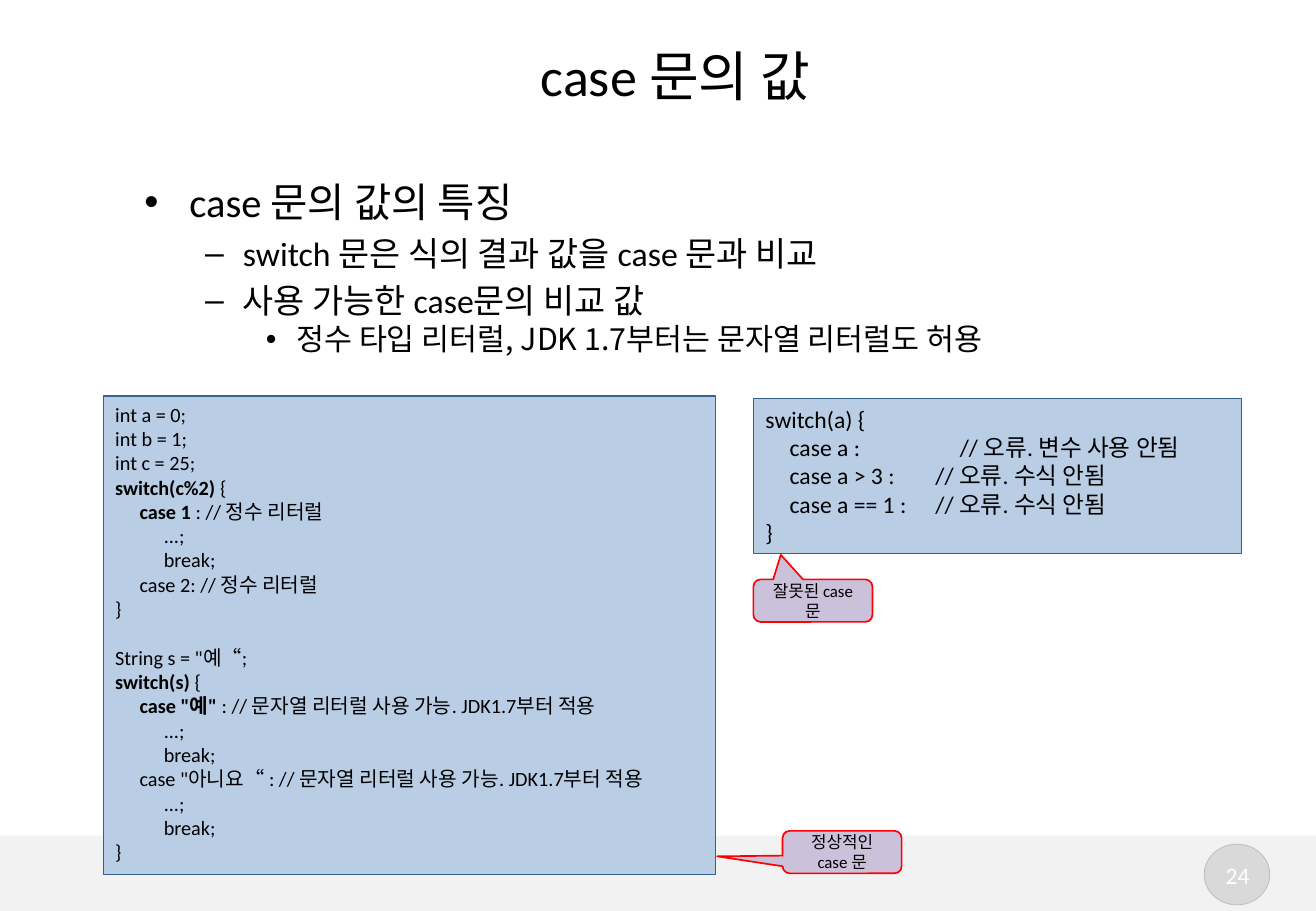
import pptx
import pptx.util
import pptx.dml.color
import pptx.enum.shapes
import pptx.enum.text
import pptx.oxml.ns
from lxml import etree

Inches = pptx.util.Inches
SHAPE = pptx.enum.shapes.MSO_SHAPE
ALIGN = pptx.enum.text.PP_ALIGN
ANCHOR = pptx.enum.text.MSO_ANCHOR

THEME = {
    "font": "Calibri", "korean_font": "Noto Sans CJK KR",
    "text": "000000", "white": "FFFFFF",
    "footer": "F2F2F2", "badge": "D9D9D9", "badge_line": "BFBFBF",
    "code": "B9CDE5", "code_line": "376092",
    "callout": "CCC1DA", "callout_line": "FF0000",
    "title_size": 32, "level_sizes": [24, 20, 18],
    "code_size": 12, "error_size": 14, "callout_size": 10, "number_size": 14,
}


def add_block(kind, box, fill=None, line=None, line_width=0.75, anchor=ANCHOR.TOP):
    position = [Inches(length) for length in box]
    if kind is None:
        shape = slide.shapes.add_textbox(*position)
    else:
        shape = slide.shapes.add_shape(kind, *position)
        shape.shadow.inherit = False
        shape.fill.solid()
        shape.fill.fore_color.rgb = pptx.dml.color.RGBColor.from_string(fill)
        if line:
            shape.line.color.rgb = pptx.dml.color.RGBColor.from_string(line)
            shape.line.width = pptx.util.Pt(line_width)
        else:
            shape.line.fill.background()
    shape.text_frame.word_wrap = True
    shape.text_frame.vertical_anchor = anchor
    return shape


def write(shape, text, size, color=THEME["text"], font=THEME["font"], align=ALIGN.LEFT,
          space_before=0, bullet=None, indent=(0, 0), tab_step=None):
    frame = shape.text_frame
    paragraph = frame.paragraphs[0]
    if paragraph.runs:
        paragraph = frame.add_paragraph()
    properties = paragraph._p.get_or_add_pPr()
    if bullet:
        left, hanging = indent
        properties.set("marL", str(Inches(left)))
        properties.set("indent", str(Inches(-hanging)))
        bullet_font = etree.SubElement(properties, pptx.oxml.ns.qn("a:buFont"))
        bullet_font.set("typeface", "Arial")
        etree.SubElement(properties, pptx.oxml.ns.qn("a:buChar")).set("char", bullet)
    if tab_step:
        tabs = etree.SubElement(properties, pptx.oxml.ns.qn("a:tabLst"))
        for stop in range(1, 11):
            tab = etree.SubElement(tabs, pptx.oxml.ns.qn("a:tab"))
            tab.set("pos", str(Inches(stop * tab_step)))
            tab.set("algn", "l")
    paragraph.alignment = align
    paragraph.space_before = pptx.util.Pt(space_before)
    for index, part in enumerate(text.split("**")):
        if part:
            run = paragraph.add_run()
            run.text = part
            run.font.name = font
            run.font.size = pptx.util.Pt(size)
            run.font.bold = index % 2 == 1
            run.font.color.rgb = pptx.dml.color.RGBColor.from_string(color)


presentation = pptx.Presentation()
presentation.slide_width = Inches(10.83)
presentation.slide_height = Inches(7.5)
slide = presentation.slides.add_slide(presentation.slide_layouts[6])

add_block(SHAPE.RECTANGLE, (0, 6.88, 10.83, 0.62), THEME["footer"])
add_block(SHAPE.OVAL, (9.91, 6.95, 0.54, 0.5), THEME["badge"], THEME["badge_line"], 0.5)
page_number = add_block(None, (9.97, 7.04, 0.43, 0.34))
page_number.text_frame.word_wrap = False
write(page_number, "24", THEME["number_size"], THEME["white"], align=ALIGN.CENTER)

title = add_block(None, (0.73, 0.25, 9.66, 0.74), anchor=ANCHOR.MIDDLE)
write(title, "case 문의 값", THEME["title_size"], align=ALIGN.CENTER)

valid_code = add_block(SHAPE.RECTANGLE, (0.85, 3.26, 5.04, 3.94), THEME["code"], THEME["code_line"])
integer_example = [
    "int a = 0;",
    "int b = 1;",
    "int c = 25;",
    "**switch(c%2) **{",
    "\t**case 1 **: // 정수 리터럴",
    "\t\t...;",
    "\t\tbreak;",
    "\tcase 2: // 정수 리터럴",
    "}",
]
string_example = [
    'String s = "예“;',
    "**switch(s) **{",
    '\t**case "예" **: // 문자열 리터럴 사용 가능. JDK1.7부터 적용',
    "\t\t...;",
    "\t\tbreak;",
    '\tcase "아니요“ : // 문자열 리터럴 사용 가능. JDK1.7부터 적용',
    "\t\t...;",
    "\t\tbreak;",
    "}",
]
for example, gap in ((integer_example, 0), (string_example, 14.5)):
    for number, code_line in enumerate(example):
        write(valid_code, code_line, THEME["code_size"], tab_step=0.2,
              space_before=gap if number == 0 else 0)

body = add_block(None, (1.09, 1.41, 8.92, 1.95))
levels = [("•", (0.37, 0.37)), ("–", (0.81, 0.31)), ("•", (1.25, 0.25))]
points = [
    (0, "case 문의 값의 특징", THEME["font"], 0),
    (1, "switch 문은 식의 결과 값을 case 문과 비교", THEME["font"], 4),
    (1, "사용 가능한 case문의 비교 값", THEME["font"], 4),
    (2, "정수 타입 리터럴, JDK 1.7부터는 문자열 리터럴도 허용", THEME["korean_font"], 0),
]
for level, text, font, space_before in points:
    bullet, indent = levels[level]
    write(body, text, THEME["level_sizes"][level], font=font,
          space_before=space_before, bullet=bullet, indent=indent)

invalid_code = add_block(SHAPE.RECTANGLE, (6.2, 3.28, 4.02, 1.28), THEME["code"], THEME["code_line"])
for code_line in [
    "switch(a) {",
    "\tcase a : \t\t\t\t// 오류. 변수 사용 안됨",
    "\tcase a > 3 : \t\t// 오류. 수식 안됨",
    "\tcase a == 1 : \t// 오류. 수식 안됨",
    "}",
]:
    write(invalid_code, code_line, THEME["error_size"], tab_step=0.2)

for left, top, text, tip in [
    (6.44, 6.84, "정상적인 case 문", (-1.05, 0.1)),
    (6.2, 4.77, "잘못된 case 문", (-0.27, -1.08)),
]:
    callout = add_block(SHAPE.ROUNDED_RECTANGULAR_CALLOUT, (left, top, 0.98, 0.35),
                        THEME["callout"], THEME["callout_line"], 1, ANCHOR.MIDDLE)
    callout.adjustments[0], callout.adjustments[1] = tip
    write(callout, text, THEME["callout_size"], align=ALIGN.CENTER)

presentation.save("out.pptx")
